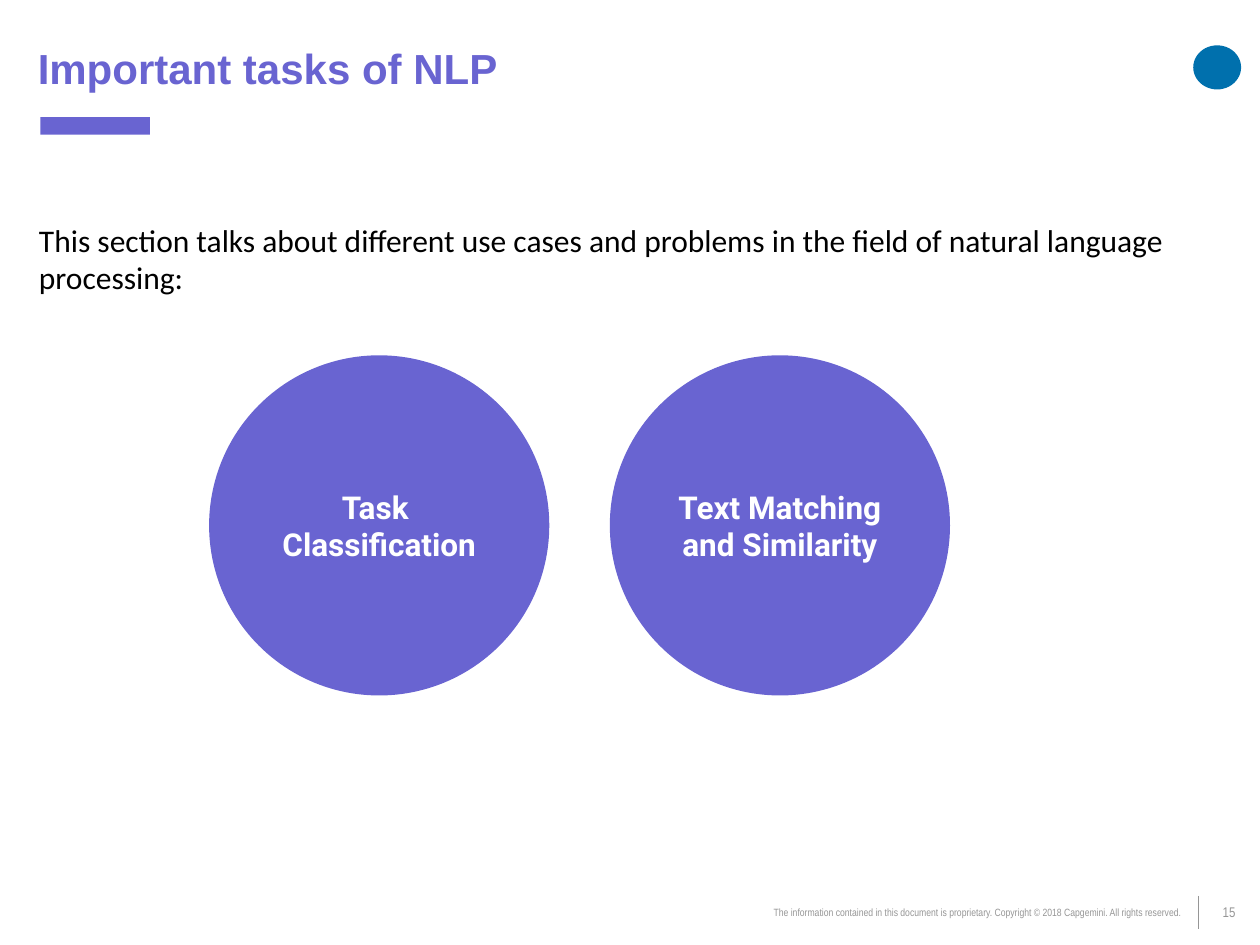
from dataclasses import dataclass

from pptx import Presentation
from pptx.dml.color import RGBColor
from pptx.enum.shapes import MSO_CONNECTOR, MSO_SHAPE
from pptx.enum.text import MSO_ANCHOR as Anchor, PP_ALIGN as Align
from pptx.oxml.ns import qn
from pptx.shapes.autoshape import Shape
from pptx.slide import Slide
from pptx.util import Inches, Pt
from lxml.etree import SubElement

VIOLET, GREY, WHITE, BLACK, BLUE = "6964D1", "969696", "FFFFFF", "000000", "0070AD"
CIRCLE_LEFT, CIRCLE_TOP, CIRCLE_SIZE, CIRCLE_STEP = 1.66, 2.82, 2.7, 3.18


@dataclass(frozen=True)
class Area:
    left: float
    top: float
    width: float
    height: float

    def lengths(self) -> list[Inches]:
        return [Inches(v) for v in (self.left, self.top, self.width, self.height)]


@dataclass(frozen=True)
class Style:
    font: str
    size: float
    color: str
    bold: bool = False
    align: Align = Align.LEFT
    spacing: float = 1.0
    anchor: Anchor = Anchor.TOP
    insets: tuple[float, float, float, float] = (0.1, 0.05, 0.1, 0.05)


@dataclass(frozen=True)
class TextItem:
    area: Area
    text: str
    style: Style


SMALL_PRINT = "The information contained in this document is proprietary. Copyright © 2018 Capgemini. All rights reserved."
INTRO = "This section talks about different use cases and problems in the field of natural language processing:"
TEXTS = [
    TextItem(Area(0, -0.03, 10, 1.1), "Important tasks of NLP",
             Style("Arial", 24, VIOLET, bold=True, anchor=Anchor.MIDDLE, insets=(0.3, 0.04, 0, 0))),
    TextItem(Area(0.31, 1.75, 9.5, 0.61), INTRO, Style("Calibri", 18, BLACK, insets=(0, 0, 0, 0))),
    TextItem(Area(4.49, 7.16, 4.98, 0.19), SMALL_PRINT,
             Style("Arial Narrow", 6, GREY, align=Align.RIGHT, spacing=0.85)),
    TextItem(Area(9.51, 7.11, 0.49, 0.27), "15",
             Style("Arial Narrow", 8, GREY, align=Align.CENTER, spacing=0.85, anchor=Anchor.MIDDLE)),
]
CIRCLE_STYLE = Style("Roboto", 18, WHITE, bold=True, align=Align.CENTER, anchor=Anchor.MIDDLE)
TASKS = ["Task \nClassification", "Text Matching and Similarity"]


def rgb(value: str) -> RGBColor:
    return RGBColor.from_string(value)


def write(box: Shape, text: str, style: Style) -> None:
    frame = box.text_frame
    frame.word_wrap = True
    frame.vertical_anchor = style.anchor
    frame.margin_left, frame.margin_top, frame.margin_right, frame.margin_bottom = map(Inches, style.insets)
    for index, line in enumerate(text.split("\n")):
        para = frame.add_paragraph() if index else frame.paragraphs[0]
        para.alignment = style.align
        para.line_spacing = style.spacing
        span = para.add_run()
        span.text = line
        span.font.name = style.font
        span.font.size = Pt(style.size)
        span.font.bold = style.bold
        span.font.color.rgb = rgb(style.color)


def add_filled(page: Slide, kind: MSO_SHAPE, area: Area, color: str) -> Shape:
    shape = page.shapes.add_shape(kind, *area.lengths())
    shape.shadow.inherit = False
    shape.fill.solid()
    shape.fill.fore_color.rgb = rgb(color)
    shape.line.fill.background()
    return shape


def add_footer_rule(page: Slide) -> None:
    x = Inches(9.51)
    rule = page.shapes.add_connector(MSO_CONNECTOR.STRAIGHT, x, Inches(7.11), x, Inches(7.37))
    rule.line.color.rgb = rgb(GREY)
    rule.line.width = Pt(0.75)
    SubElement(rule._element.spPr, qn("a:effectLst"))


def main() -> None:
    """Build the slide on important NLP tasks and save it."""
    deck = Presentation()
    deck.slide_width, deck.slide_height = Inches(10), Inches(7.5)
    page = deck.slides.add_slide(deck.slide_layouts[6])
    add_footer_rule(page)
    add_filled(page, MSO_SHAPE.OVAL, Area(9.47, 0.36, 0.38, 0.35), BLUE)
    add_filled(page, MSO_SHAPE.RECTANGLE, Area(0.32, 0.93, 0.87, 0.14), VIOLET)
    for item in TEXTS:
        write(page.shapes.add_textbox(*item.area.lengths()), item.text, item.style)
    for index, task in enumerate(TASKS):
        area = Area(CIRCLE_LEFT + index * CIRCLE_STEP, CIRCLE_TOP, CIRCLE_SIZE, CIRCLE_SIZE)
        write(add_filled(page, MSO_SHAPE.OVAL, area, VIOLET), task, CIRCLE_STYLE)
    deck.save("out.pptx")


if __name__ == "__main__":
    main()
